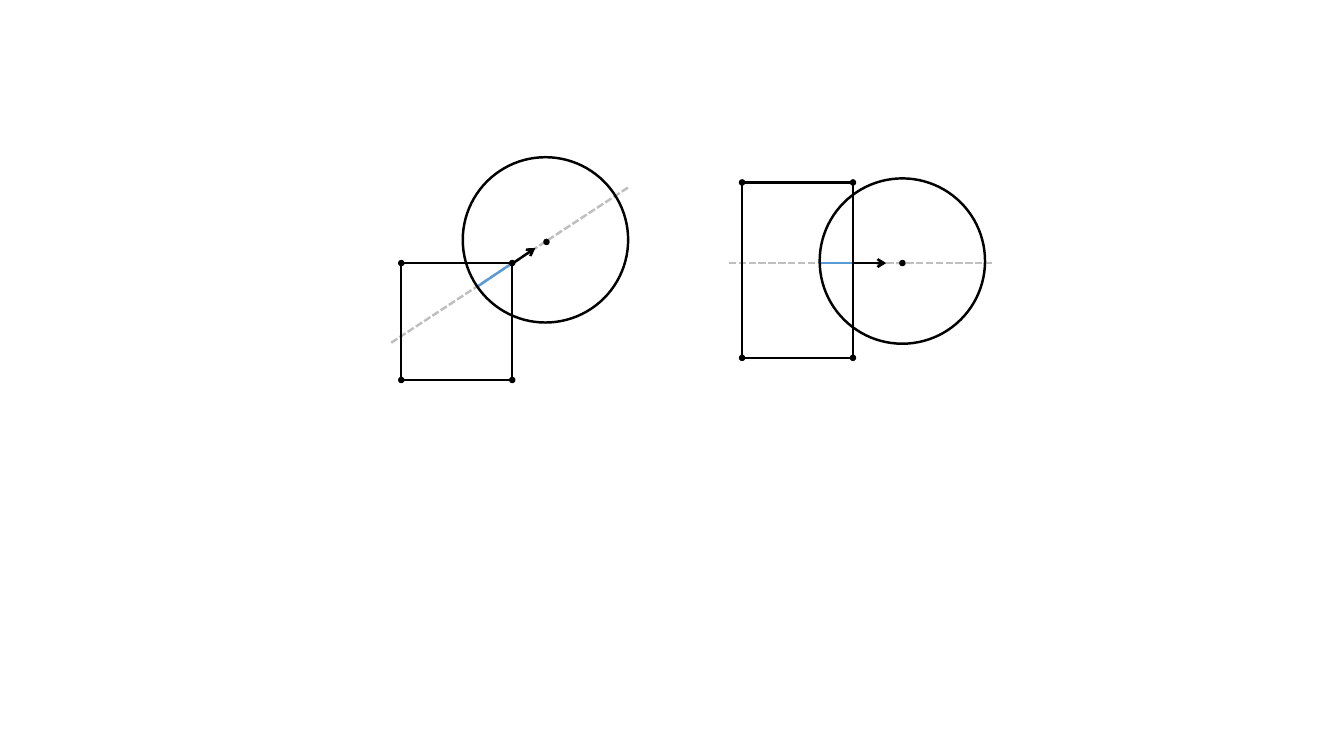
from pptx import Presentation
from pptx.dml.color import RGBColor
from pptx.enum.dml import MSO_LINE
from pptx.enum.shapes import MSO_CONNECTOR, MSO_SHAPE
from pptx.oxml.ns import qn
from pptx.util import Pt
from lxml import etree

PX = 9144  # 100 px to the inch
BLACK = RGBColor(0x00, 0x00, 0x00)
GRAY = RGBColor(0xBF, 0xBF, 0xBF)
BLUE = RGBColor(0x5B, 0x9B, 0xD5)
RECT, OVAL = MSO_SHAPE.RECTANGLE, MSO_SHAPE.OVAL
STRAIGHT, DASH = MSO_CONNECTOR.STRAIGHT, MSO_LINE.SQUARE_DOT
DOT, DISC = 5, 164


def add_form(group, kind, box, solid=False):
    form = group.shapes.add_shape(kind, *[int(v * PX) for v in box])
    form.shadow.inherit = False
    if solid:
        form.fill.solid()
        form.fill.fore_color.rgb = BLACK
    else:
        form.fill.background()
    form.line.color.rgb = BLACK
    form.line.width = Pt(1 if solid else 1.75)


def add_line(group, ends, color):
    link = group.shapes.add_connector(STRAIGHT, *[v * PX for v in ends])
    link.line.color.rgb = color
    link.line.width = Pt(1.75)
    etree.SubElement(link._element.spPr, qn("a:effectLst"))
    return link


deck = Presentation()
deck.slide_width, deck.slide_height = 1333 * PX, 750 * PX
slide = deck.slides.add_slide(deck.slide_layouts[6])

# Each case: rectangle, circle corner, circle centre, axis, overlap, push
cases = [
    ((736, 181, 110, 174), (813, 177), (895, 261),
     (723, 261, 986, 261), (813, 261, 846, 261), (846, 261, 879, 261)),
    ((398, 261, 110, 116), (459, 156), (542, 240),
     (388, 340, 623, 186), (474, 284, 508, 261), (509, 261, 531, 246)),
]
for rect, disc, hub, axis, depth, push in cases:
    group = slide.shapes.add_group_shape()

    # Axis through the circle centre and overlap depth
    add_line(group, axis, GRAY).line.dash_style = DASH
    add_line(group, depth, BLUE)

    # Outlines
    add_form(group, RECT, rect)
    add_form(group, OVAL, (*disc, DISC, DISC))

    # Corner dots and centre dot
    left, top, width, height = rect
    spots = [(x, y) for y in (top, top + height) for x in (left, left + width)]
    for x, y in spots + [hub]:
        add_form(group, OVAL, (x - DOT / 2, y - DOT / 2, DOT, DOT), solid=True)

    # Push arrow
    arrow = add_line(group, push, BLACK)
    etree.SubElement(arrow.line._get_or_add_ln(), qn("a:tailEnd"), type="arrow")

deck.save("out.pptx")
